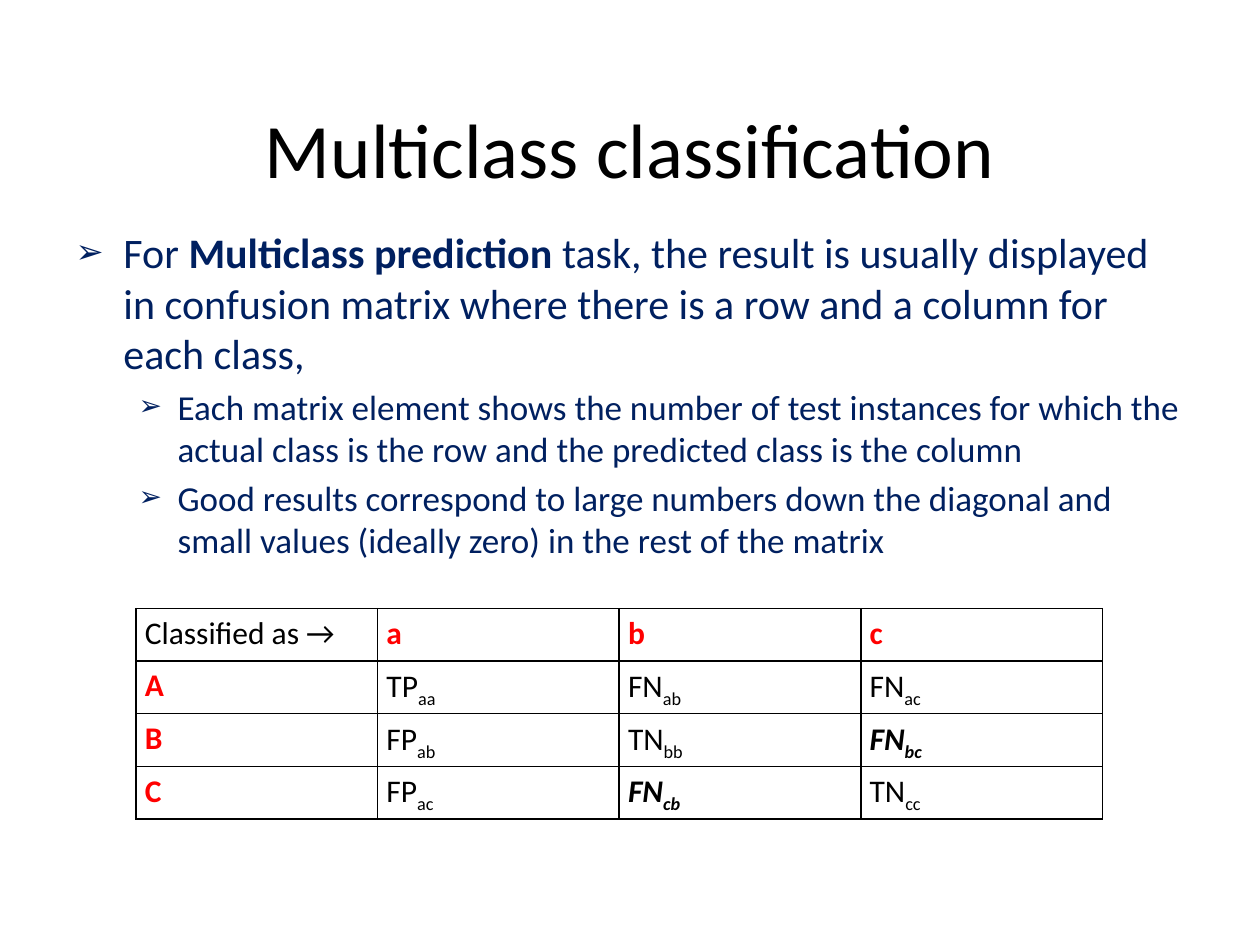
from lxml import etree
from pptx import Presentation
from pptx.dml.color import RGBColor
from pptx.enum import text
from pptx.oxml import ns
from pptx.util import Inches, Pt

BLACK = RGBColor(0x00, 0x00, 0x00)
NAVY = RGBColor(0x00, 0x20, 0x60)
RED = RGBColor(0xFF, 0x00, 0x00)


def add_run(p, content, size, color, **formats):
    r = p.add_run()
    r.text = content
    r.font.color.rgb = color
    formats = {"name": "Calibri", "size": Pt(size), **formats}
    for name, value in formats.items():
        setattr(r.font, name, value)
    return r


def add_element(parent, tag, **attributes):
    return etree.SubElement(parent, ns.qn(tag), **attributes)


prs = Presentation()
prs.slide_width, prs.slide_height = Inches(10), Inches(7.5)
s = prs.slides.add_slide(prs.slide_layouts[1])
title, body = s.placeholders
for sp, top, height in ((title, 0.67, 1), (body, 1.75, 4.95)):
    sp.left, sp.top = Inches(0.5), Inches(top)
    sp.width, sp.height = Inches(9), Inches(height)

title.text_frame.vertical_anchor = text.MSO_ANCHOR.MIDDLE
p = title.text_frame.paragraphs[0]
p.alignment = text.PP_ALIGN.CENTER
add_run(p, "Multiclass classification", 44, BLACK)

bullets = [
    (0, 24, [("For ", False), ("Multiclass prediction ", True),
             ("task, the result is usually displayed in confusion matrix "
              "where there is a row and a column for each class,", False)]),
    (1, 20, [("Each matrix element shows the number of test instances for which "
              "the actual class is the row and the predicted class is the column", False)]),
    (1, 20, [("Good results correspond to large numbers down the diagonal and "
              "small values (ideally zero) in the rest of the matrix", False)]),
]
indents = [(0.38, -0.38), (0.81, -0.31)]
tf = body.text_frame
for i, (level, size, parts) in enumerate(bullets):
    p = tf.paragraphs[0] if i == 0 else tf.add_paragraph()
    p.level = level
    pPr = p._p.get_or_add_pPr()
    margin, indent = indents[level]
    pPr.set("marL", str(Inches(margin)))
    pPr.set("indent", str(Inches(indent)))
    add_element(pPr, "a:buSzPct", val="80000")
    add_element(pPr, "a:buChar", char="➢")
    if i == 0:
        p.space_before = Pt(0)
    for content, bold in parts:
        add_run(p, content, size, NAVY, bold=bold)

matrix = [
    ["Classified as →", "a", "b", "c"],
    ["A", "TP_aa", "FN_ab", "FN_ac"],
    ["B", "FP_ab", "TN_bb", "FN_bc"],
    ["C", "FP_ac", "FN_cb", "TN_cc"],
]
emphasised = ("FN_bc", "FN_cb")
table = s.shapes.add_table(4, 4, Inches(1.08), Inches(4.83),
                           Inches(7.67), Inches(1.67)).table
table.first_row = table.horz_banding = False
cell_format = {"margin_left": Inches(0.07), "margin_right": Inches(0.07),
               "margin_top": 0, "margin_bottom": 0}
for i, row in enumerate(matrix):
    for j, content in enumerate(row):
        cell = table.cell(i, j)
        for name, value in cell_format.items():
            setattr(cell, name, value)
        p = cell.text_frame.paragraphs[0]
        p.alignment = text.PP_ALIGN.JUSTIFY
        p.line_spacing = 1.15
        header = (i == 0) != (j == 0)
        strong = content in emphasised
        main, _, subscript = content.partition("_")
        style = {"bold": header or strong, "italic": strong}
        add_run(p, main, 18, RED if header else BLACK, **style)
        if subscript:
            r = add_run(p, subscript, 18, BLACK, **style)
            r._r.get_or_add_rPr().set("baseline", "-25000")
        tcPr = cell._tc.get_or_add_tcPr()
        for side in ("L", "R", "T", "B"):
            ln = add_element(tcPr, f"a:ln{side}", w=str(Pt(1)))
            fill = add_element(ln, "a:solidFill")
            add_element(fill, "a:srgbClr", val=str(BLACK))
        cell.fill.background()

prs.save("out.pptx")
